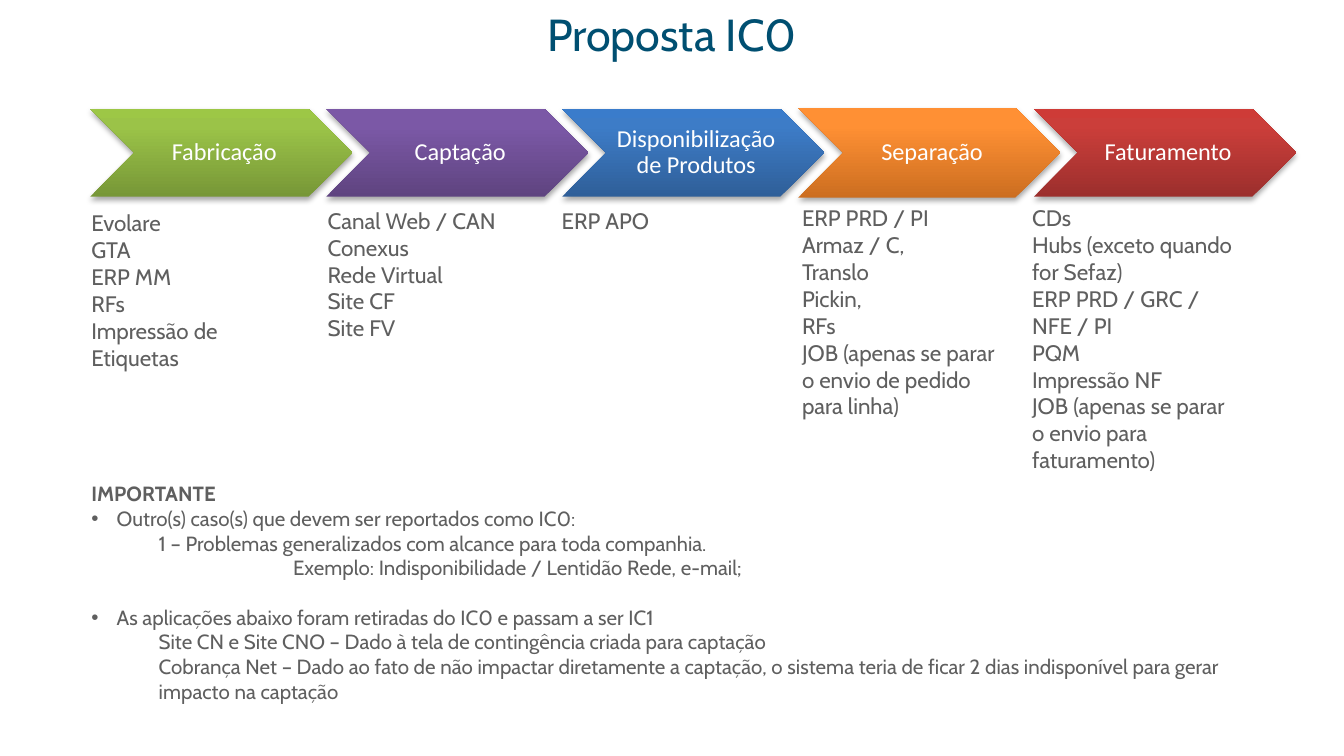
from copy import deepcopy

from lxml import etree
from pptx import Presentation
from pptx.dml.color import RGBColor
from pptx.enum import shapes, text
from pptx.oxml import ns
from pptx.util import Pt

COLORS = {
    "title": "004F71",
    "body": "5F5F5F",
    "label": "FFFFFF",
    "shadow": "000000",
    "green": ("779737", "9BC348", "9DC746"),
    "purple": ("5F4480", "7B58A6", "7C57A8"),
    "blue": ("2F5F99", "3D7CC7", "3A7CCB"),
    "orange": ("CC6E20", "FF9034", "FF9136"),
    "red": ("9C2F2D", "CB3E3A", "CE3B37"),
}

# label, colour, chevron height, systems left, top, width, systems
STEPS = [
    ("Fabricação", "green", 47, 41.8, 108.7, 130.3,
     ["Evolare", "GTA", "ERP MM", "RFs", "Impressão de Etiquetas"]),
    ("Captação", "purple", 47, 168.5, 107.3, 125.3,
     ["Canal Web / CAN", "Conexus", "Rede Virtual", "Site CF", "Site FV"]),
    ("Disponibilização de Produtos", "blue", 47, 293.8, 107.3, 115.9,
     ["ERP APO"]),
    ("Separação", "orange", 48.2, 422.6, 106, 124.6,
     ["ERP PRD / PI", "Armaz / C,", "Translo", "Pickin,", "RFs",
      "JOB (apenas se parar o envio de pedido para linha)"]),
    ("Faturamento", "red", 47, 545.8, 106, 121.7,
     ["CDs", "Hubs (exceto quando for Sefaz)", "ERP PRD / GRC / NFE / PI",
      "PQM", "Impressão NF", "JOB (apenas se parar o envio para faturamento)"]),
]
CHEVRON_LEFT, CHEVRON_MIDDLE, CHEVRON_WIDTH, CHEVRON_PITCH = 48.4, 81.8, 140.4, 126.4

# text, left margin, bulleted, space before
NOTES = [
    ("IMPORTANTE", 0, False, 0),
    ("Outro(s) caso(s) que devem ser reportados como IC0:", 13.5, True, 0),
    ("1 – Problemas generalizados com alcance para toda companhia.", 36, False, 0),
    ("Exemplo: Indisponibilidade / Lentidão Rede, e-mail;", 108, False, 0),
    ("As aplicações abaixo foram retiradas do IC0 e passam a ser IC1", 13.5, True, 13.3),
    ("Site CN e Site CNO – Dado à tela de contingência criada para captação", 36, False, 0),
    ("Cobrança Net – Dado ao fato de não impactar diretamente a captação, o sistema "
     "teria de ficar 2 dias indisponível para gerar impacto na captação", 36, False, 0),
]


def set_font(paragraph, name, size, color, bold=False):
    paragraph.font.name = name
    paragraph.font.size = Pt(size)
    paragraph.font.bold = bold
    paragraph.font.color.rgb = RGBColor.from_string(COLORS[color])


def place(shape, left, top, width, height):
    shape.left, shape.top = Pt(left), Pt(top)
    shape.width, shape.height = Pt(width), Pt(height)
    shape.text_frame.word_wrap = True
    shape.text_frame.auto_size = text.MSO_AUTO_SIZE.NONE


prs = Presentation()
prs.slide_width, prs.slide_height = Pt(720), Pt(405)
slide = prs.slides.add_slide(prs.slide_layouts[1])
title, notes = slide.placeholders

place(title, 0, 0, 720, 36)
title.text_frame.text = "Proposta IC0"
title.text_frame.vertical_anchor = text.MSO_ANCHOR.MIDDLE
title.text_frame.paragraphs[0].alignment = text.PP_ALIGN.CENTER
set_font(title.text_frame.paragraphs[0], "Cabin", 24, "title")

for i, (label, color, height, left, top, width, systems) in enumerate(STEPS):
    chevron = slide.shapes.add_shape(
        shapes.MSO_SHAPE.CHEVRON, Pt(CHEVRON_LEFT + i * CHEVRON_PITCH),
        Pt(CHEVRON_MIDDLE - height / 2), Pt(CHEVRON_WIDTH), Pt(height))
    chevron.line.fill.background()
    chevron.fill.gradient()
    chevron.fill.gradient_angle = 90
    stop_list = chevron._element.spPr.find(".//" + ns.qn("a:gsLst"))
    stop_list.append(deepcopy(stop_list[-1]))
    for stop, position, shade in zip(chevron.fill.gradient_stops, (0, 0.8, 1), COLORS[color]):
        stop.position = position
        stop.color.rgb = RGBColor.from_string(shade)

    chevron.shadow.inherit = False
    effects = chevron._element.spPr.find(ns.qn("a:effectLst"))
    shadow = etree.SubElement(effects, ns.qn("a:outerShdw"), blurRad=str(Pt(3.1)),
                              dist=str(Pt(1.8)), dir="5400000", rotWithShape="0")
    shadow_color = etree.SubElement(shadow, ns.qn("a:srgbClr"), val=COLORS["shadow"])
    etree.SubElement(shadow_color, ns.qn("a:alpha"), val="35000")

    frame = chevron.text_frame
    frame.text = label
    frame.word_wrap = True
    frame.vertical_anchor = text.MSO_ANCHOR.MIDDLE
    frame.margin_left = Pt(4.3)
    frame.margin_top = frame.margin_right = frame.margin_bottom = Pt(1.4)
    frame.paragraphs[0].alignment = text.PP_ALIGN.CENTER
    frame.paragraphs[0].line_spacing = 0.9
    set_font(frame.paragraphs[0], "Calibri", 13, "label")

    column = slide.shapes.add_textbox(0, 0, 0, 0)
    place(column, left, top, width, 165)
    column.text_frame.text = "\n".join(systems)
    for paragraph in column.text_frame.paragraphs:
        set_font(paragraph, "Cabin", 12, "body")

place(notes, 41.8, 254.2, 658.8, 140.4)
notes.text_frame.text = "\n".join(note[0] for note in NOTES)
for paragraph, (_, margin, bulleted, before) in zip(notes.text_frame.paragraphs, NOTES):
    paragraph.level = 1 if margin > 13.5 else 0
    paragraph.space_before = Pt(before)
    properties = paragraph._p.get_or_add_pPr()
    properties.set("marL", str(Pt(margin)))
    properties.set("indent", str(Pt(-margin if bulleted else 0)))
    if bulleted:
        etree.SubElement(properties, ns.qn("a:buFont"), typeface="Arial")
        etree.SubElement(properties, ns.qn("a:buChar"), char="•")
    else:
        etree.SubElement(properties, ns.qn("a:buNone"))
    set_font(paragraph, "Cabin", 11, "body", bold=margin == 0)

prs.save("out.pptx")
